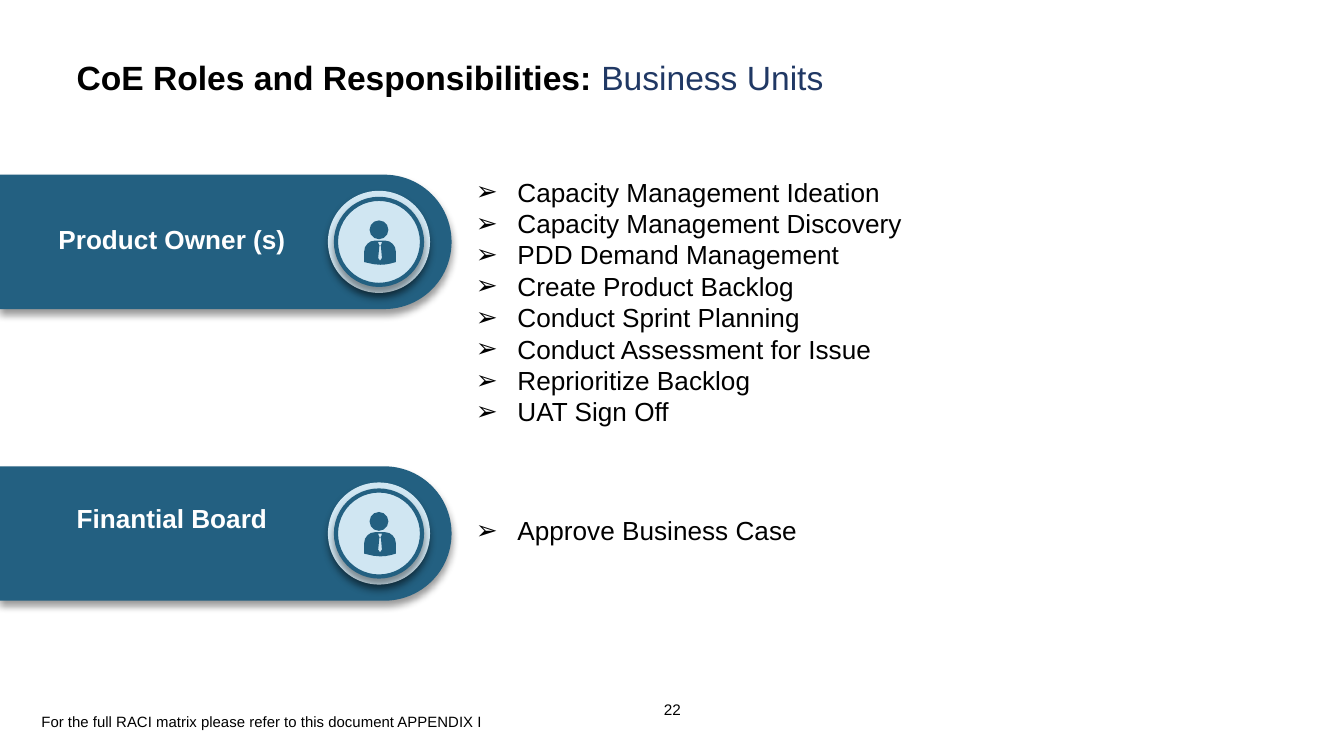
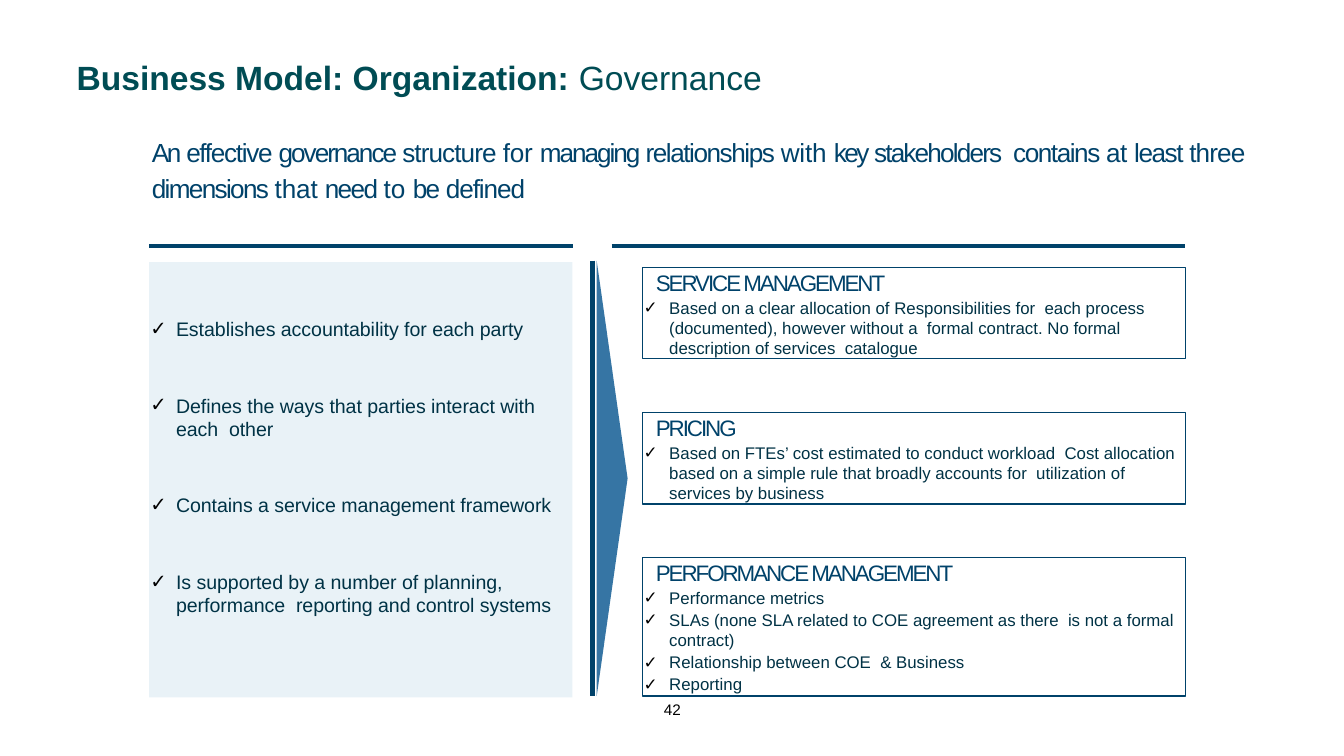
"""Build two slides on roles and governance for a centre of excellence."""
from dataclasses import dataclass

from lxml import etree
from pptx import Presentation
from pptx.dml.color import RGBColor
from pptx.enum.shapes import MSO_CONNECTOR, MSO_SHAPE
from pptx.enum.text import MSO_ANCHOR, MSO_AUTO_SIZE, PP_ALIGN
from pptx.oxml.ns import qn
from pptx.util import Pt

PX = 9144
ICON_UNIT = PX / 10
FONT = "Arial"
BLACK, WHITE = "000000", "FFFFFF"
TEAL, ICE, NAVY, INK = "236081", "D0E6F2", "00426A", "003245"
TITLE_BLUE, TITLE_GREEN = "203864", "004C54"
PANEL, ARROW_BLUE = "E9F2F7", "3675A4"
ARROW_BULLET, CHECK_BULLET = "➢", "✓"

LEFT, CENTER = PP_ALIGN.LEFT, PP_ALIGN.CENTER
TOP, MIDDLE = MSO_ANCHOR.TOP, MSO_ANCHOR.MIDDLE
NO_AUTOFIT = MSO_AUTO_SIZE.NONE
OVAL, RECTANGLE = MSO_SHAPE.OVAL, MSO_SHAPE.RECTANGLE
ROUND_END = MSO_SHAPE.ROUND_2_SAME_RECTANGLE
STRAIGHT = MSO_CONNECTOR.STRAIGHT

TORSO = [(80, 0), (155, 0), (186, 6), (211, 24), (229, 49), (235, 80), (235, 160),
         (200, 170), (160, 178), (120, 180), (70, 176), (35, 168), (0, 160),
         (0, 80), (6, 49), (24, 24), (49, 6)]
KNOT = [(103, 10), (112, 36), (125, 36), (133, 10)]
TIE = [(113, 38), (104, 130), (118, 150), (132, 130), (124, 38)]


@dataclass(frozen=True)
class Box:
    """A rectangle in px."""
    left: int
    top: int
    width: int
    height: int

    def emu(self) -> list[int]:
        """Return the four lengths in EMU."""
        return [value * PX for value in (self.left, self.top, self.width, self.height)]


@dataclass(frozen=True)
class Style:
    """The look of a piece of text."""
    size: float
    color: str = BLACK
    bold: bool = False
    spacing: float = 0


@dataclass(frozen=True)
class Bullet:
    """A bullet symbol with its text indent and hang in px."""
    symbol: str
    indent: int
    hang: int


@dataclass(frozen=True)
class Role:
    """A role banner with its list of duties."""
    name: str
    top: int
    label_top: int
    list_box: Box
    duties: list[str]


@dataclass(frozen=True)
class Card:
    """A governance dimension with its points."""
    heading: str
    height: int
    points: list[str]


ARROW = Bullet(ARROW_BULLET, 31, 31)
CHECK = Bullet(CHECK_BULLET, 20, 19)
ROLES = [
    Role("Product Owner (s)", 130, 161, Box(344, 126, 622, 199), [
        "Capacity Management Ideation", "Capacity Management Discovery",
        "PDD Demand Management", "Create Product Backlog", "Conduct Sprint Planning",
        "Conduct Assessment for Issue", "Reprioritize Backlog", "UAT Sign Off"]),
    Role("Finantial Board", 347, 369, Box(344, 378, 621, 34), ["Approve Business Case"]),
]
CARDS = [
    Card("SERVICE MANAGEMENT", 68, [
        "Based on a clear allocation of Responsibilities for  each process (documented), "
        "however without a  formal contract. No formal description of services  catalogue"]),
    Card("PRICING", 68, [
        "Based on FTEs’ cost estimated to conduct workload  Cost allocation  based on a "
        "simple rule that broadly accounts for  utilization of services by business"]),
    Card("PERFORMANCE MANAGEMENT", 103, [
        "Performance metrics",
        "SLAs (none SLA related to COE agreement as there  is not a formal contract)",
        "Relationship between COE  & Business", "Reporting"]),
]
BENEFITS = [
    "Establishes accountability for each party",
    "Defines the ways that parties interact with each  other",
    "Contains a service management framework",
    "Is supported by a number of planning, performance  reporting and control systems",
]
LEAD = [
    ("An ", -1.3), ("effective ", -0.7), ("governance ", -1.1), ("structure ", -0.5),
    ("for ", -0.2), ("managing ", -1.1), ("relationships ", -0.8), ("with ", -0.1),
    ("key ", -1.4), ("stakeholders  ", -1), ("contains ", -0.8), ("at ", -0.3),
    ("least ", -0.8), ("three ", -0.5), ("dimensions ", -0.9), ("that ", -0.1),
    ("need ", -0.9), ("to ", 0), ("be ", -0.9), ("defined", -0.6),
]


def rgb(color: str) -> RGBColor:
    """Turn a hex string into a colour."""
    return RGBColor.from_string(color)


def style_run(run, style: Style) -> None:
    """Apply a style to one run."""
    run.font.name = FONT
    run.font.size = Pt(style.size)
    run.font.bold = style.bold
    run.font.color.rgb = rgb(style.color)
    if style.spacing:
        run.font._element.set("spc", str(round(style.spacing * 100)))


def write_runs(paragraph, pieces: list[tuple[str, Style]]) -> None:
    """Write styled pieces of text into one paragraph."""
    for text, style in pieces:
        run = paragraph.add_run()
        run.text = text
        style_run(run, style)


def set_bullet(paragraph, bullet: Bullet) -> None:
    """Give a paragraph a black bullet and a hanging indent."""
    properties = paragraph._p.get_or_add_pPr()
    properties.set("marL", str(bullet.indent * PX))
    properties.set("indent", str(-bullet.hang * PX))
    color = etree.SubElement(properties, qn("a:buClr"))
    etree.SubElement(color, qn("a:srgbClr"), val=BLACK)
    etree.SubElement(properties, qn("a:buFont"), typeface=FONT)
    etree.SubElement(properties, qn("a:buChar"), char=bullet.symbol)


def prepare_frame(shape, insets=(10, 5, 10, 5), anchor=TOP):
    """Set wrapping, insets and anchor, and return the text frame."""
    frame = shape.text_frame
    frame.word_wrap = True
    frame.auto_size = NO_AUTOFIT
    frame.vertical_anchor = anchor
    (frame.margin_left, frame.margin_top,
     frame.margin_right, frame.margin_bottom) = [inset * PX for inset in insets]
    return frame


def write_list(frame, items: list[str], bullet: Bullet, style: Style,
               gap: float = 0, first: bool = True) -> None:
    """Write bulleted items, after existing text if first is False."""
    for index, item in enumerate(items):
        starts_box = first and index == 0
        paragraph = frame.paragraphs[0] if starts_box else frame.add_paragraph()
        paragraph.text = item
        set_bullet(paragraph, bullet)
        paragraph.alignment = LEFT
        paragraph.space_before = Pt(0 if starts_box else gap)
        style_run(paragraph.runs[0], style)


def place(shape, box: Box) -> None:
    """Move a placeholder to a box."""
    shape.left, shape.top, shape.width, shape.height = box.emu()


def add_text(slide, box: Box, text: str, style: Style, align=LEFT,
             insets=(10, 5, 10, 5)) -> None:
    """Add a one-line text box."""
    frame = prepare_frame(slide.shapes.add_textbox(*box.emu()), insets)
    frame.text = text
    frame.paragraphs[0].alignment = align
    style_run(frame.paragraphs[0].runs[0], style)


def paint(shape, fill: str | None, line: str | None = None, width: float = 1) -> None:
    """Set fill and outline and drop the theme shadow."""
    shape.shadow.inherit = False
    if fill:
        shape.fill.solid()
        shape.fill.fore_color.rgb = rgb(fill)
    else:
        shape.fill.background()
    if line:
        shape.line.color.rgb = rgb(line)
        shape.line.width = Pt(width)
    else:
        shape.line.fill.background()


def add_shadow(shape) -> None:
    """Cast a soft shadow straight down."""
    effects = shape._element.spPr.find(qn("a:effectLst"))
    shadow = etree.SubElement(effects, qn("a:outerShdw"), blurRad=str(Pt(4)),
                              dist=str(Pt(3)), dir="5400000", rotWithShape="0")
    color = etree.SubElement(shadow, qn("a:srgbClr"), val=BLACK)
    etree.SubElement(color, qn("a:alpha"), val="40000")


def add_shape(slide, kind, box: Box, fill: str | None, line: str | None = None,
              width: float = 1):
    """Add a painted preset shape."""
    shape = slide.shapes.add_shape(kind, *box.emu())
    paint(shape, fill, line, width)
    return shape


def add_outline(slide, left: int, top: int, contours, scale: float, fill: str) -> None:
    """Add a filled freeform made of closed contours."""
    builder = slide.shapes.build_freeform(*contours[0][0], scale=scale)
    for index, contour in enumerate(contours):
        if index:
            builder.move_to(*contour[0])
        builder.add_line_segments(contour[1:], close=True)
    paint(builder.convert_to_shape(left * PX, top * PX), fill)


def add_line(slide, start: tuple[int, int], end: tuple[int, int], width: float) -> None:
    """Add a straight navy line."""
    line = slide.shapes.add_connector(
        STRAIGHT, *[value * PX for value in (*start, *end)])
    line.line.color.rgb = rgb(NAVY)
    line.line.width = Pt(width)
    etree.SubElement(line._element.spPr, qn("a:effectLst"))


def start_slide(presentation, layout: int, title: list[tuple[str, Style]], number: str):
    """Add a slide with its title and page number."""
    slide = presentation.slides.add_slide(presentation.slide_layouts[layout])
    place(slide.shapes.title, Box(47, 32, 903, 50))
    frame = prepare_frame(slide.shapes.title, (10, 10, 10, 10), MIDDLE)
    frame.paragraphs[0].alignment = LEFT
    write_runs(frame.paragraphs[0], title)
    add_text(slide, Box(494, 521, 20, 14), number, Style(8.2), insets=(0, 0, 0, 0))
    return slide


def add_role(slide, role: Role, body) -> None:
    """Draw a role banner with its person icon and fill its list."""
    length, thickness = 336, 100
    offset = (length - thickness) // 2
    band = add_shape(slide, ROUND_END,
                     Box(offset, role.top - offset, thickness, length), TEAL)
    band.rotation = 90
    band.adjustments[0], band.adjustments[1] = 0.5, 0
    add_shadow(band)
    add_shadow(add_shape(slide, OVAL, Box(244, role.top + 12, 76, 76), ICE))
    add_shadow(add_shape(slide, OVAL, Box(250, role.top + 18, 64, 64), ICE, TEAL, 2.25))
    add_shape(slide, OVAL, Box(275, role.top + 34, 14, 14), TEAL)
    add_outline(slide, 271, role.top + 49, [TORSO, KNOT, TIE], ICON_UNIT, TEAL)
    add_text(slide, Box(30, role.label_top, 196, 34), role.name,
             Style(14, WHITE, True), CENTER)
    place(body, role.list_box)
    write_list(prepare_frame(body), role.duties, ARROW, Style(14))


def build_roles(presentation) -> None:
    """Build the slide of business unit roles."""
    slide = start_slide(presentation, 3, [
        ("CoE Roles and Responsibilities: ", Style(18, BLACK, True)),
        ("Business Units", Style(18, TITLE_BLUE))], "22")
    for role, body in zip(ROLES, list(slide.placeholders)[1:]):
        add_role(slide, role, body)
    add_text(slide, Box(21, 525, 387, 24),
             "For the full RACI matrix please refer to this document APPENDIX I", Style(8))


def add_card(slide, card: Card, top: int) -> None:
    """Draw an outlined card with heading and points."""
    shape = add_shape(slide, RECTANGLE, Box(478, top, 404, card.height), None, NAVY, 0.72)
    frame = prepare_frame(shape, (0, 1, 0, 0))
    frame.text = card.heading
    heading = frame.paragraphs[0]
    heading.alignment = LEFT
    heading._p.get_or_add_pPr().set("marL", str(10 * PX))
    style_run(heading.runs[0], Style(12, NAVY, spacing=-1.1))
    write_list(frame, card.points, CHECK, Style(9, INK), 1, first=False)


def build_governance(presentation) -> None:
    """Build the slide of governance dimensions."""
    slide = start_slide(presentation, 1, [
        ("Business Model: Organization: ", Style(18, TITLE_GREEN, True)),
        ("Governance", Style(18, TITLE_GREEN))], "42")
    lead_box = slide.shapes.add_textbox(*Box(113, 93, 824, 58).emu())
    lead = prepare_frame(lead_box, (0, 5, 0, 0)).paragraphs[0]
    lead.line_spacing = Pt(19.4)
    write_runs(lead, [(text, Style(14, NAVY, spacing=spacing)) for text, spacing in LEAD])
    add_line(slide, (111, 183), (426, 183), 2.04)
    add_line(slide, (455, 183), (882, 183), 2.04)
    panel = slide.placeholders[1]
    place(panel, Box(111, 195, 315, 324))
    panel.fill.solid()
    panel.fill.fore_color.rgb = rgb(PANEL)
    write_list(prepare_frame(panel, (0, 41, 0, 0)), BENEFITS, CHECK,
               Style(10.5, INK), 28.3)
    add_line(slide, (441, 194), (441, 518), 3)
    add_outline(slide, 444, 194, [[(0, 0), (0, 324), (23, 162)]], PX, ARROW_BLUE)
    top = 199
    for card in CARDS:
        add_card(slide, card, top)
        top += card.height + 40


def main() -> None:
    """Build and save the presentation."""
    presentation = Presentation()
    presentation.slide_width = 1000 * PX
    presentation.slide_height = presentation.slide_width * 9 // 16
    build_roles(presentation)
    build_governance(presentation)
    presentation.save("out.pptx")


if __name__ == "__main__":
    main()
